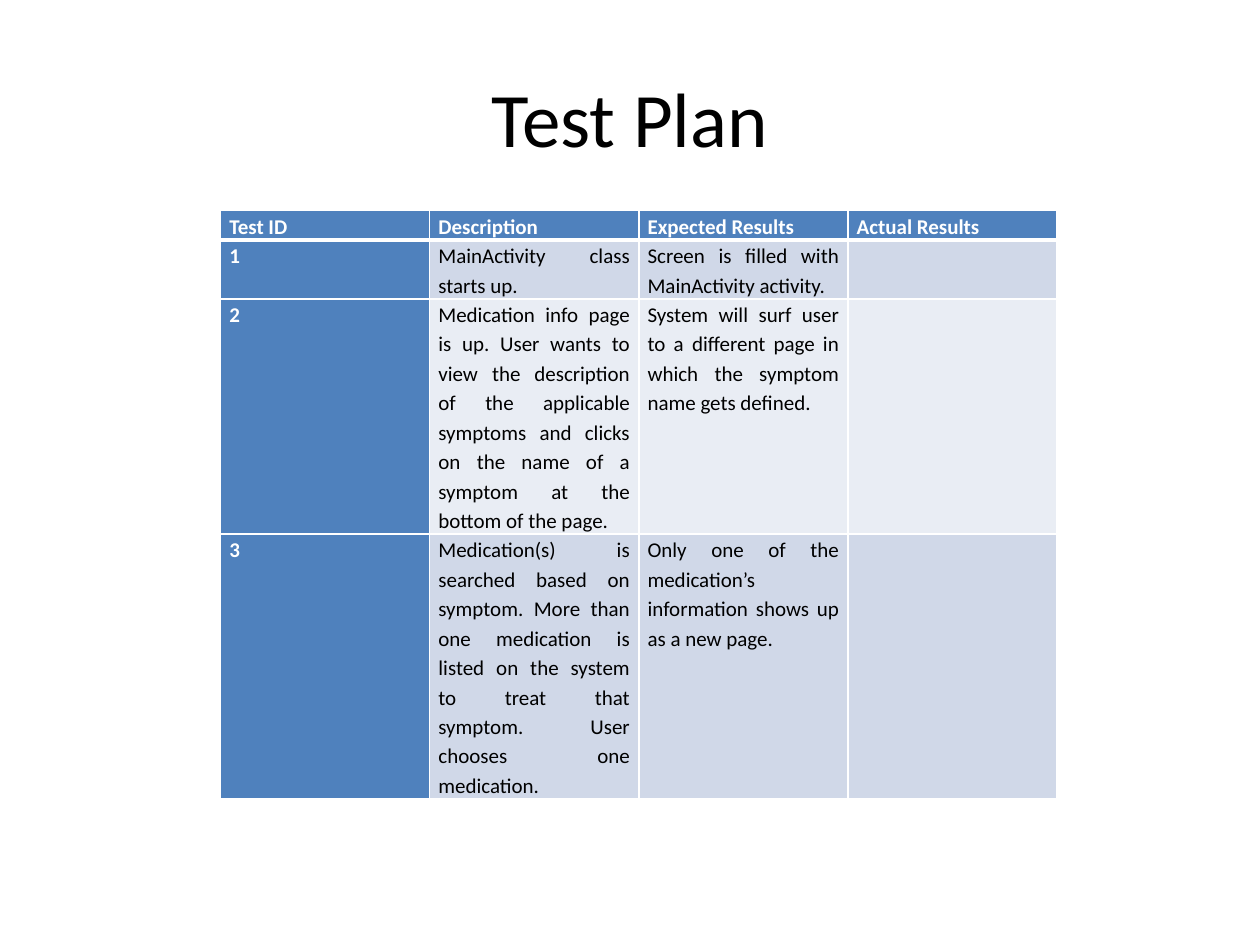
from dataclasses import dataclass

from lxml import etree
from pptx import Presentation
from pptx.dml.color import RGBColor
from pptx.enum.text import MSO_ANCHOR, PP_ALIGN
from pptx.oxml.ns import qn
from pptx.util import Inches, Pt

CENTER = PP_ALIGN.CENTER
JUSTIFY = PP_ALIGN.JUSTIFY
MIDDLE = MSO_ANCHOR.MIDDLE
TITLE_ONLY = 5


@dataclass(frozen=True)
class Theme:
    font: str = "Calibri"
    title_size: int = 44
    table_size: int = 12
    black: str = "000000"
    white: str = "FFFFFF"
    accent: str = "4F81BD"
    bands: tuple[str, str] = ("D0D8E8", "E9EDF4")
    border: float = 1
    header_border: float = 3


@dataclass(frozen=True)
class TestRow:
    test_id: str
    description: str
    expected: str
    actual: str
    lines: int


THEME = Theme()
COLUMN_WIDTH = 1.66
LINE_HEIGHT = 0.23
TEST_ROWS = [
    TestRow("Test ID", "Description", "Expected Results", "Actual Results", 1),
    TestRow("1", "MainActivity class starts up.",
            "Screen is filled with MainActivity activity.", "", 2),
    TestRow("2", "Medication info page is up. User wants to view the description of the "
            "applicable symptoms and clicks on the name of a symptom at the bottom of the page.",
            "System will surf user to a different page in which the symptom name gets defined.",
            "", 8),
    TestRow("3", "Medication(s) is searched based on symptom. More than one medication is "
            "listed on the system to treat that symptom. User chooses one medication.",
            "Only one of the medication’s information shows up as a new page.", "", 9),
]


def write_text(text_frame, text: str, *, size: float, color: str, bold: bool = False,
               align=JUSTIFY, line_spacing: float | None = None) -> None:
    paragraph = text_frame.paragraphs[0]
    paragraph.alignment = align
    paragraph.line_spacing = line_spacing
    run = paragraph.add_run()
    run.text = text
    run.font.name = THEME.font
    run.font.size = Pt(size)
    run.font.bold = bold
    run.font.color.rgb = RGBColor.from_string(color)


def set_borders(cell, bottom_width: float) -> None:
    properties = cell._tc.get_or_add_tcPr()
    widths = {"a:lnL": THEME.border, "a:lnR": THEME.border,
              "a:lnT": THEME.border, "a:lnB": bottom_width}
    for index, (tag, width) in enumerate(widths.items()):
        line = etree.Element(qn(tag), w=str(Pt(width)))
        fill = etree.SubElement(line, qn("a:solidFill"))
        etree.SubElement(fill, qn("a:srgbClr"), val=THEME.white)
        properties.insert(index, line)


def format_cell(cell, text: str, row_index: int, column_index: int) -> None:
    is_header = row_index == 0
    is_accent = is_header or column_index == 0
    cell.margin_left = cell.margin_right = Inches(0.07)
    cell.margin_top = cell.margin_bottom = 0
    cell.fill.solid()
    band = THEME.bands[(row_index - 1) % 2]
    cell.fill.fore_color.rgb = RGBColor.from_string(THEME.accent if is_accent else band)
    set_borders(cell, THEME.header_border if is_header else THEME.border)
    if text:
        write_text(cell.text_frame, text, size=THEME.table_size, bold=is_accent,
                   color=THEME.white if is_accent else THEME.black, line_spacing=1.15)


def add_test_table(slide, rows: list[TestRow]) -> None:
    total_lines = sum(row.lines for row in rows)
    table = slide.shapes.add_table(
        len(rows), 4, Inches(1.75), Inches(1.67),
        Inches(4 * COLUMN_WIDTH), Inches(total_lines * LINE_HEIGHT)).table
    for column in table.columns:
        column.width = Inches(COLUMN_WIDTH)
    for row_index, row in enumerate(rows):
        table.rows[row_index].height = Inches(row.lines * LINE_HEIGHT)
        texts = (row.test_id, row.description, row.expected, row.actual)
        for column_index, text in enumerate(texts):
            format_cell(table.cell(row_index, column_index), text, row_index, column_index)


def add_title(slide, text: str) -> None:
    title = slide.shapes.title
    title.left, title.top = Inches(0.5), Inches(0.3)
    title.width, title.height = Inches(9), Inches(1.25)
    title.text_frame.vertical_anchor = MIDDLE
    write_text(title.text_frame, text, size=THEME.title_size, color=THEME.black, align=CENTER)


def main() -> None:
    presentation = Presentation()
    presentation.slide_width = Inches(10)
    presentation.slide_height = Inches(7.5)
    slide = presentation.slides.add_slide(presentation.slide_layouts[TITLE_ONLY])
    add_title(slide, "Test Plan")
    add_test_table(slide, TEST_ROWS)
    presentation.save("out.pptx")


main()
